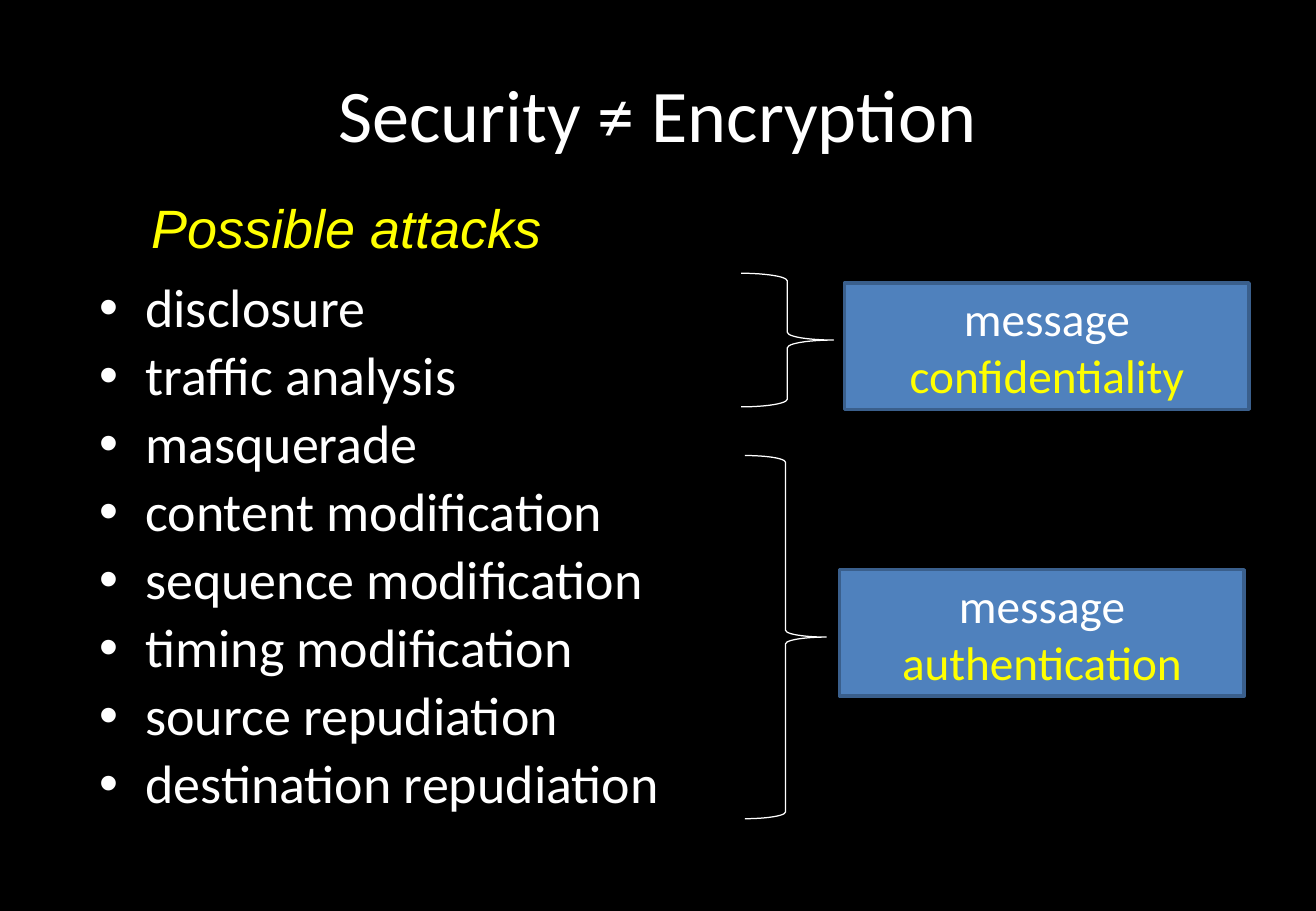
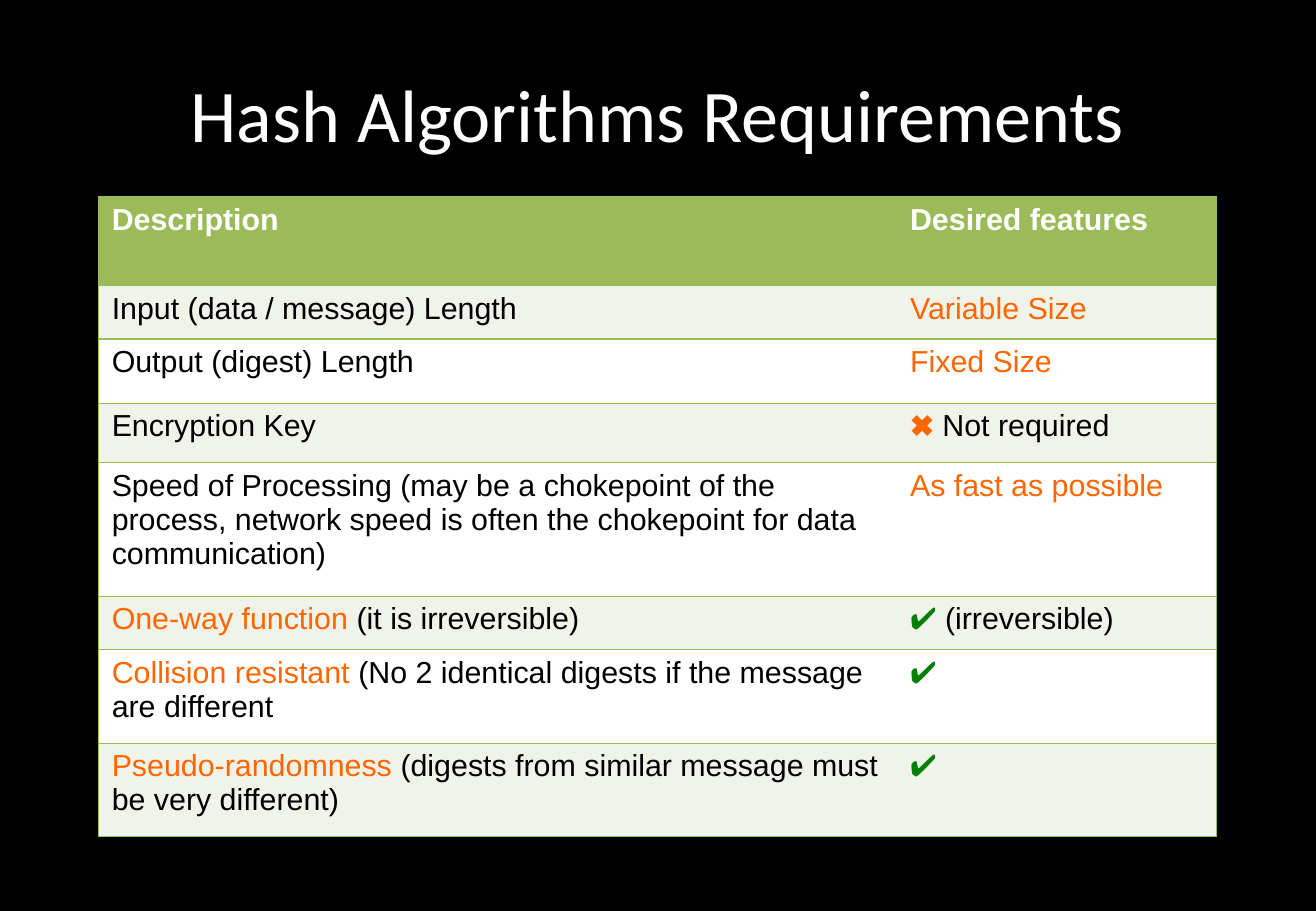
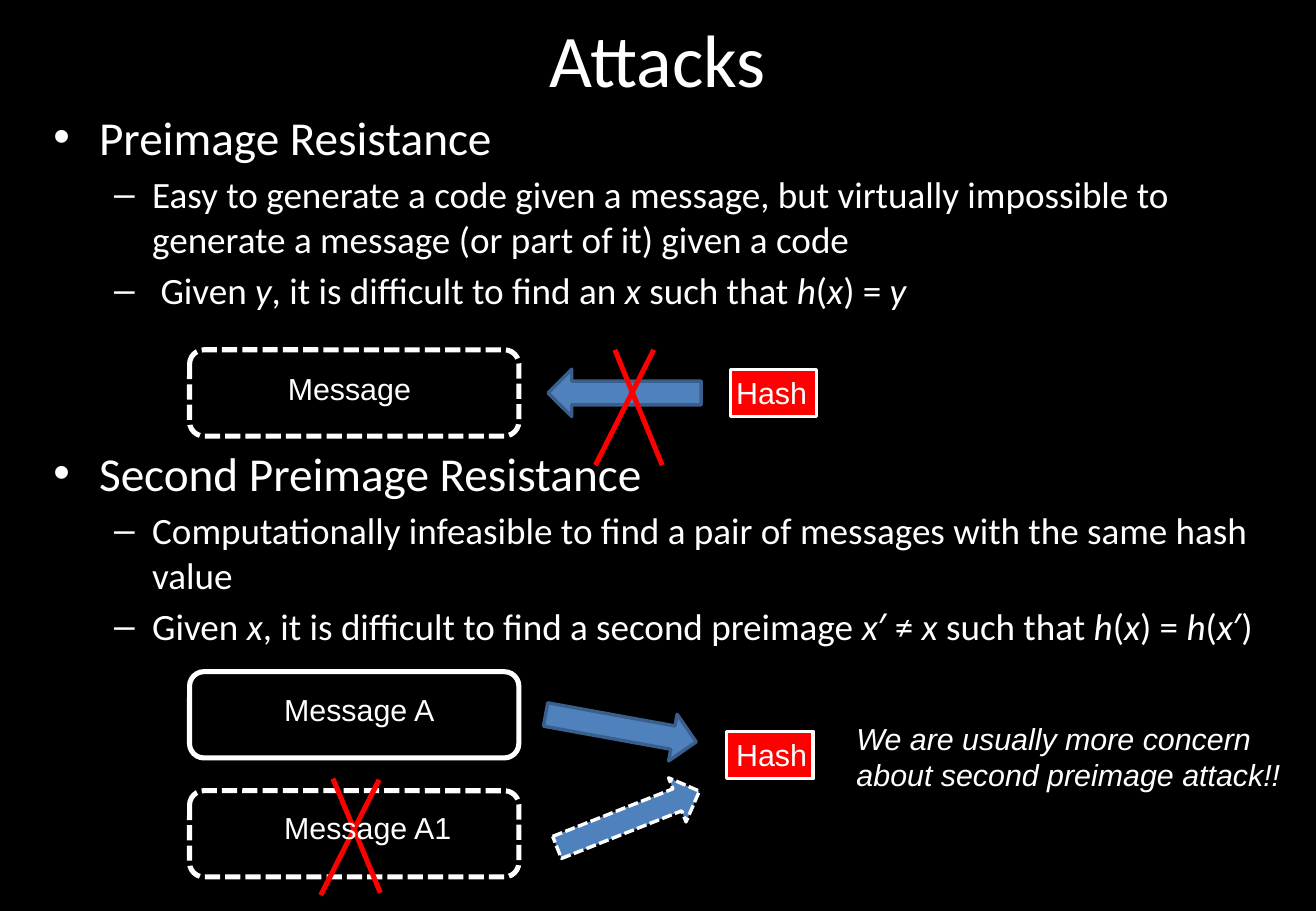
"""Build three slides on message security, hash requirements and hash attacks."""
from lxml.etree import SubElement
from pptx import Presentation
from pptx.dml.color import RGBColor
from pptx.enum.dml import MSO_LINE
from pptx.enum.shapes import MSO_CONNECTOR, MSO_SHAPE
from pptx.enum.text import MSO_ANCHOR, MSO_AUTO_SIZE, PP_ALIGN
from pptx.oxml.ns import qn
from pptx.util import Emu, Pt

PX = 9144
SLIDE_SIZE = (1083, 750)
COLORS = {
    "black": "000000", "white": "FFFFFF", "yellow": "FFFF00", "blue": "4F81BD",
    "navy": "3A5F8C", "red": "FF0000", "lime": "9BBB59", "pale": "EFF3EA",
    "orange": "FF6600", "green": "008000",
}
HEADING = {"name": "Calibri", "size": Pt(44)}
LABEL = {"name": "Arial", "size": Pt(18)}
TITLE_BOX = (54, 30, 975, 125)
SPACE_RATIO = 0.18

LINES = {
    "thin": ("white", 0.75, None),
    "edge": ("navy", 2, None),
    "frame": ("white", 2, None),
    "dashed frame": ("white", 2, MSO_LINE.SQUARE_DOT),
    "solid": ("white", 3, None),
    "dashed": ("white", 3, MSO_LINE.SQUARE_DOT),
    "cross": ("red", 3, None),
}

ATTACKS = [
    "disclosure", "traffic analysis", "masquerade", "content modification",
    "sequence modification", "timing modification", "source repudiation",
    "destination repudiation",
]
GOALS = [
    ("confidentiality", (695, 233, 333, 104)),
    ("authentication", (691, 469, 333, 104)),
]
BRACES = [(613, 375, 67, 299), (610, 225, 76, 110)]

TABLE_BOX = (81, 162, 920, 527)
COLUMN_WIDTHS = (657, 263)
REQUIREMENTS = [
    (73, [("Description", "white")], [("Desired features", "white")]),
    (44, [("Input (data / message) Length", "black")], [("Variable Size", "orange")]),
    (53, [("Output (digest) Length", "black")], [("Fixed Size", "orange")]),
    (49, [("Encryption Key", "black")], [("✖", "orange"), (" Not required", "black")]),
    (110, [("Speed of Processing (may be a chokepoint of the process, network speed "
            "is often the chokepoint for data communication)", "black")],
     [("As fast as possible", "orange")]),
    (44, [("One-way function ", "orange"), ("(it is irreversible)", "black")],
     [("✔ ", "green"), ("(irreversible)", "black")]),
    (77, [("Collision resistant ", "orange"),
          ("(No 2 identical digests if the message are different", "black")],
     [("✔", "green")]),
    (77, [("Pseudo-randomness ", "orange"),
          ("(digests from similar message must be very different)", "black")],
     [("✔", "green")]),
]

RESISTANCE = [
    (0, "Preimage Resistance", 0),
    (1, "Easy to generate a code given a message, but virtually impossible to "
        "generate a message (or part of it) given a code", None),
    (1, " Given *y*, it is difficult to find an *x* such that *h*(*x*) = *y*", None),
    (0, "Second Preimage Resistance", 78.5),
    (1, "Computationally infeasible to find a pair of messages with the same hash value",
     None),
    (1, "Given *x*, it is difficult to find a second preimage *x*′ ≠ *x* such that "
        "*h*(*x*) = *h*(*x*′)", None),
]
LEVEL_SIZES = (28, 22)
MESSAGE_SIZE, HASH_SIZE, ARROW_SIZE = (271, 71), (71, 39), (126, 39)
DIAGRAM = [
    (MSO_SHAPE.ROUNDED_RECTANGLE, (156, 288, *MESSAGE_SIZE), None, "dashed", 0),
    (MSO_SHAPE.RECTANGLE, (601, 304, *HASH_SIZE), "red", "frame", 0),
    (MSO_SHAPE.RIGHT_ARROW, (451, 304, *ARROW_SIZE), "blue", "edge", 180),
    (MSO_SHAPE.ROUNDED_RECTANGLE, (156, 553, *MESSAGE_SIZE), None, "solid", 0),
    (MSO_SHAPE.RECTANGLE, (598, 602, *HASH_SIZE), "red", "frame", 0),
    (MSO_SHAPE.RIGHT_ARROW, (448, 580, *ARROW_SIZE), "blue", "edge", 10.3),
    (MSO_SHAPE.ROUNDED_RECTANGLE, (156, 651, *MESSAGE_SIZE), None, "dashed", 0),
    (MSO_SHAPE.RIGHT_ARROW, (454, 655, *ARROW_SIZE), "blue", "dashed frame", 338.4),
]
CROSS_STROKES = [
    (538, 288, 490, 383), (506, 288, 545, 383),
    (312, 642, 264, 737), (274, 641, 313, 735),
]
LABELS = [
    ("Message", (227, 300, 123, 40)),
    ("Hash", (596, 303, 79, 40)),
    ("Message A", (224, 564, 145, 40)),
    ("Hash", (596, 601, 79, 40)),
    ("Message A1", (224, 661, 159, 40)),
]
NOTE = ("We are usually more concern\nabout second preimage attack!!", (695, 588, 372, 71))


def color(name):
    return RGBColor.from_string(COLORS[name])


def scaled(lengths):
    return [Emu(length * PX) for length in lengths]


def apply(target, **values):
    for name, value in values.items():
        setattr(target, name, value)


def place(shape, box):
    apply(shape, **dict(zip(("left", "top", "width", "height"), scaled(box))))


def add_run(paragraph, text, fill="white", **font):
    run = paragraph.add_run()
    run.text = text
    apply(run.font, **font)
    run.font.color.rgb = color(fill)


def add_slide(presentation, layout, title, box=TITLE_BOX):
    slide = presentation.slides.add_slide(presentation.slide_layouts.get_by_name(layout))
    place(slide.shapes.title, box)
    frame = slide.shapes.title.text_frame
    apply(frame, vertical_anchor=MSO_ANCHOR.MIDDLE, auto_size=MSO_AUTO_SIZE.NONE)
    frame.paragraphs[0].alignment = PP_ALIGN.CENTER
    add_run(frame.paragraphs[0], title, **HEADING)
    return slide


def add_bullets(slide, box, items, sizes, line_spacing=1.0):
    body = slide.placeholders[1]
    place(body, box)
    frame = body.text_frame
    frame.auto_size = MSO_AUTO_SIZE.NONE
    for index, (level, text, gap) in enumerate(items):
        paragraph = frame.add_paragraph() if index else frame.paragraphs[0]
        space = sizes[level] * SPACE_RATIO if gap is None else gap
        apply(paragraph, level=level, line_spacing=line_spacing, space_before=Pt(space))
        for part, piece in enumerate(text.split("*")):
            if piece:
                add_run(paragraph, piece, name="Calibri", size=Pt(sizes[level]),
                        italic=part % 2 == 1)


def style_line(line, style):
    name, width, dash = LINES[style]
    line.color.rgb = color(name)
    line.width = Pt(width)
    if dash:
        line.dash_style = dash


def add_figure(slide, preset, box, fill, line, rotation=0):
    shape = slide.shapes.add_shape(preset, *scaled(box))
    shape.shadow.inherit = False
    shape.rotation = rotation
    if fill:
        shape.fill.solid()
        shape.fill.fore_color.rgb = color(fill)
    else:
        shape.fill.background()
    style_line(shape.line, line)
    return shape


def add_label(slide, text, box, fill="white", **font):
    frame = slide.shapes.add_textbox(*scaled(box)).text_frame
    apply(frame, word_wrap=False, auto_size=MSO_AUTO_SIZE.SHAPE_TO_FIT_TEXT)
    for index, line in enumerate(text.split("\n")):
        paragraph = frame.add_paragraph() if index else frame.paragraphs[0]
        add_run(paragraph, line, fill, **{**LABEL, **font})


def add_stroke(slide, ends):
    connector = slide.shapes.add_connector(MSO_CONNECTOR.STRAIGHT, *scaled(ends))
    style_line(connector.line, "cross")
    SubElement(connector.element.spPr, qn("a:effectLst"))


def set_borders(cell, hidden_side):
    properties = cell._tc.get_or_add_tcPr()
    for side in ("lnL", "lnR", "lnT", "lnB"):
        border = SubElement(properties, qn(f"a:{side}"), w=str(Pt(1)))
        if side == hidden_side:
            SubElement(border, qn("a:noFill"))
        else:
            fill = SubElement(border, qn("a:solidFill"))
            SubElement(fill, qn("a:srgbClr"), val=COLORS["lime"])


def build_security(presentation):
    slide = add_slide(presentation, "Title and Content", "Security ≠ Encryption")
    items = [(0, text, None if index else 0) for index, text in enumerate(ATTACKS)]
    add_bullets(slide, (72, 226, 975, 487), items, (32,), 0.9)
    for goal, box in GOALS:
        frame = add_figure(slide, MSO_SHAPE.RECTANGLE, box, "blue", "edge").text_frame
        apply(frame, word_wrap=True, vertical_anchor=MSO_ANCHOR.MIDDLE)
        paragraph = frame.paragraphs[0]
        paragraph.alignment = PP_ALIGN.CENTER
        for text, fill in (("message ", "white"), (goal, "yellow")):
            add_run(paragraph, text, fill, name="Calibri", size=Pt(28))
    for box in BRACES:
        add_figure(slide, MSO_SHAPE.RIGHT_BRACE, box, None, "thin")
    add_label(slide, "Possible attacks", (115, 155, 355, 64), "yellow",
              size=Pt(32), italic=True)


def build_requirements(presentation):
    slide = add_slide(presentation, "Title Only", "Hash Algorithms Requirements")
    table = slide.shapes.add_table(len(REQUIREMENTS), len(COLUMN_WIDTHS),
                                   *scaled(TABLE_BOX)).table
    for column, width in zip(table.columns, scaled(COLUMN_WIDTHS)):
        column.width = width
    for index, (height, *contents) in enumerate(REQUIREMENTS):
        table.rows[index].height = Emu(height * PX)
        fill = ("pale" if index % 2 else "white") if index else "lime"
        for cell, runs, hidden in zip(table.rows[index].cells, contents, ("lnR", "lnL")):
            set_borders(cell, hidden)
            cell.fill.solid()
            cell.fill.fore_color.rgb = color(fill)
            apply(cell, margin_left=Emu(11 * PX), margin_right=Emu(11 * PX))
            for text, name in runs:
                add_run(cell.text_frame.paragraphs[0], text, name, bold=index == 0, **LABEL)


def build_attacks(presentation):
    slide = add_slide(presentation, "Title and Content", "Attacks", (54, -3, 975, 102))
    add_bullets(slide, (34, 84, 1027, 512), RESISTANCE, LEVEL_SIZES)
    for figure in DIAGRAM:
        add_figure(slide, *figure)
    for ends in CROSS_STROKES:
        add_stroke(slide, ends)
    for text, box in LABELS:
        add_label(slide, text, box)
    add_label(slide, *NOTE, italic=True)


def main():
    presentation = Presentation()
    width, height = scaled(SLIDE_SIZE)
    apply(presentation, slide_width=width, slide_height=height)
    background = presentation.slide_master.background.fill
    background.solid()
    background.fore_color.rgb = color("black")
    for build in (build_security, build_requirements, build_attacks):
        build(presentation)
    presentation.save("out.pptx")


if __name__ == "__main__":
    main()
